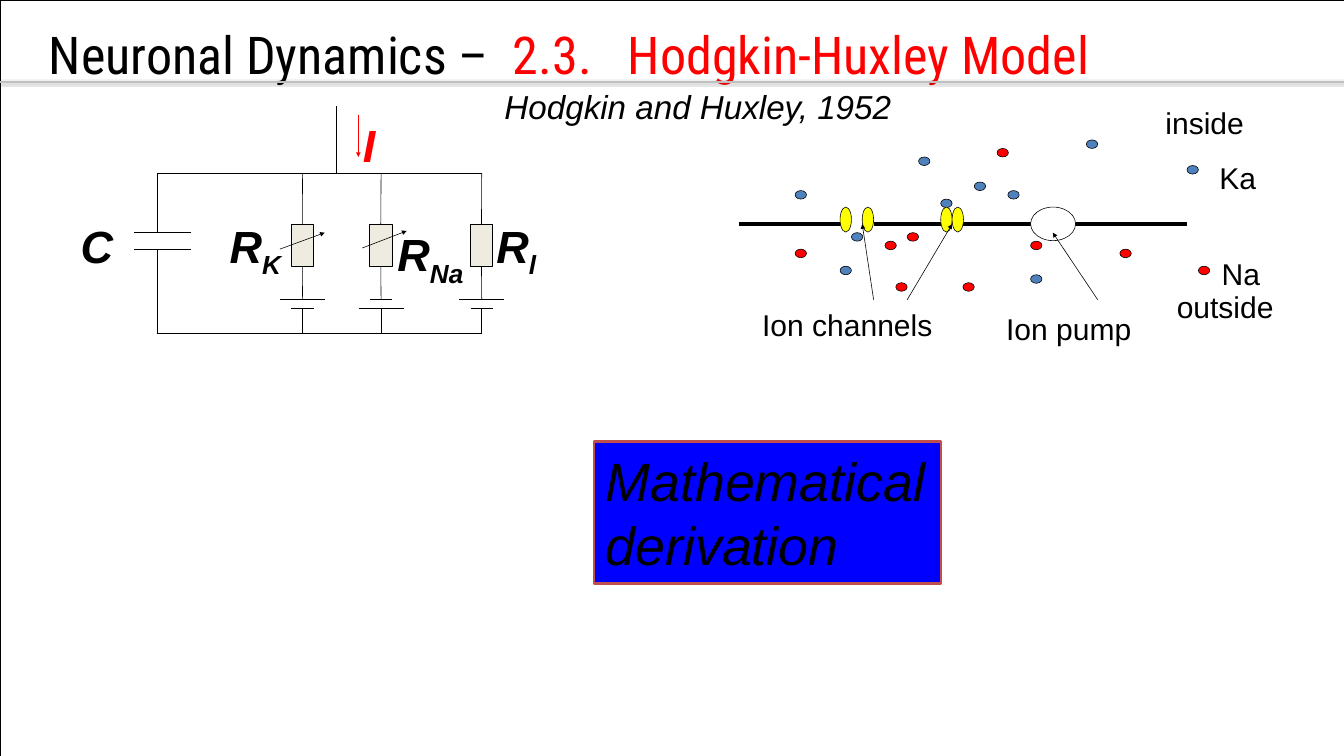
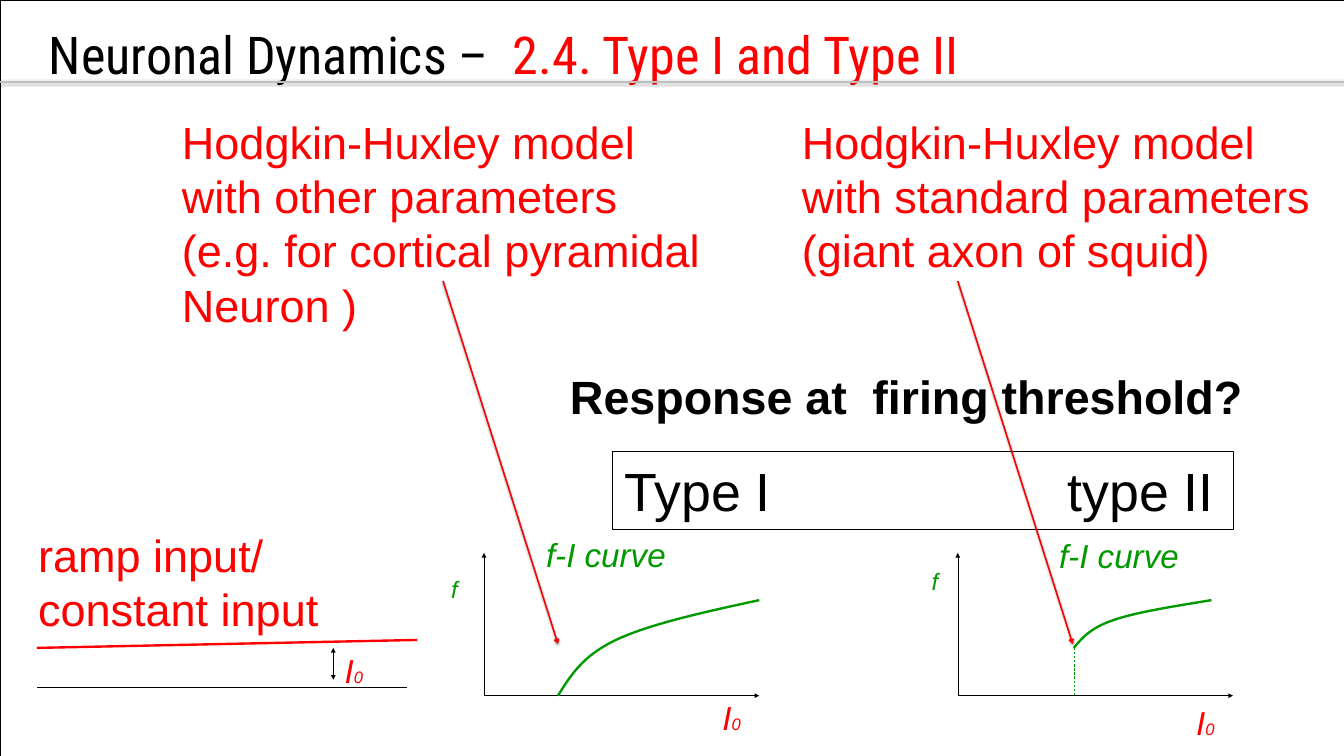
from lxml import etree
from pptx import Presentation
from pptx.dml.color import RGBColor
from pptx.enum.dml import MSO_LINE
from pptx.enum.shapes import MSO_CONNECTOR, MSO_SHAPE
from pptx.enum.text import MSO_AUTO_SIZE
from pptx.oxml.ns import qn
from pptx.util import Inches, Pt

COLORS = {
    "black": "000000", "white": "FFFFFF", "red": "FF0000", "green": "009900",
    "potassium": "4F81BD", "channel": "FFFF00", "resistor": "EEECE1",
    "rule": "BFBFBF", "box": "0000FF", "box_edge": "C0504D",
}
RGB = {name: RGBColor.from_string(value) for name, value in COLORS.items()}
WIDTH, HEIGHT = 23.63, 13.29


def add_line(slide, start, end, color="black", width=0.75, head=None, tail=None, shadow=False):
    """Draw a straight connector; head and tail are arrowheads at start and end."""
    line = slide.shapes.add_connector(
        MSO_CONNECTOR.STRAIGHT, *(Inches(value) for value in (*start, *end)))
    line.line.color.rgb = RGB[color]
    line.line.width = Pt(width)
    ln = line.line._get_or_add_ln()
    for tag, arrow in (("a:headEnd", head), ("a:tailEnd", tail)):
        if arrow:
            etree.SubElement(ln, qn(tag), type=arrow)
    effects = etree.SubElement(line._element.spPr, qn("a:effectLst"))
    if shadow:
        outer = etree.SubElement(effects, qn("a:outerShdw"), blurRad="40000", dist="20000",
                                 dir="5400000", rotWithShape="0")
        black = etree.SubElement(outer, qn("a:srgbClr"), val=COLORS["black"])
        etree.SubElement(black, qn("a:alpha"), val="38000")
    return line


def add_label(slide, at, paragraphs, size, font="Arial", bold=False, italic=False,
              inset=(0.21, 0.11), tabs=(), wrap=False):
    """Write paragraphs, each a list of (text, colour, size or None, baseline) runs."""
    box = slide.shapes.add_textbox(*(Inches(value) for value in at))
    frame = box.text_frame
    frame.word_wrap = wrap
    frame.auto_size = MSO_AUTO_SIZE.NONE if wrap else MSO_AUTO_SIZE.SHAPE_TO_FIT_TEXT
    frame.margin_left = frame.margin_right = Inches(inset[0])
    frame.margin_top = frame.margin_bottom = Inches(inset[1])
    for index, runs in enumerate(paragraphs):
        paragraph = frame.add_paragraph() if index else frame.paragraphs[0]
        if tabs:
            tab_list = etree.SubElement(paragraph._p.get_or_add_pPr(), qn("a:tabLst"))
            for position in tabs:
                etree.SubElement(tab_list, qn("a:tab"), pos=str(Inches(position)), algn="l")
        for text, color, run_size, baseline in runs:
            run = paragraph.add_run()
            run.text = text
            run.font.name = font
            run.font.size = Pt(run_size or size)
            run.font.bold = bold
            run.font.italic = italic
            run.font.color.rgb = RGB[color]
            if baseline:
                run.font._element.set("baseline", str(baseline))
    return box


prs = Presentation()
prs.slide_width, prs.slide_height = Inches(WIDTH), Inches(HEIGHT)

# Shared frame, title and rule
slides = []
for topic in ("2.3.\tHodgkin-Huxley Model", "2.4. Type I and Type II"):
    slide = prs.slides.add_slide(prs.slide_layouts[6])
    border = slide.shapes.add_shape(MSO_SHAPE.RECTANGLE, 0, 0, prs.slide_width, prs.slide_height)
    border.shadow.inherit = False
    border.fill.background()
    border.line.color.rgb = RGB["black"]
    border.line.width = Pt(0.75)
    add_label(slide, (0.76, 0.35, 22.81, 1.61),
              [[("Neuronal Dynamics –\t", "black", None, 0), (topic, "red", None, 0)]],
              66, font="Roboto Condensed", inset=(0.1, 0.05), tabs=(8.16, 10.18), wrap=True)
    add_line(slide, (0, 1.44), (WIDTH, 1.44), "rule", 2, shadow=True)
    slides.append(slide)
model, types = slides

# Membrane with ions, channels and pump
MEMBRANE_Y = 3.94
for left, right in ((13, 14.97), (15.36, 16.54), (16.93, 18.12), (18.9, 20.87)):
    add_line(model, (left, MEMBRANE_Y), (right, MEMBRANE_Y), width=4.5)

potassium_ions = [(14.97, 4.09), (16.15, 2.76), (16.54, 3.5), (13.98, 3.35), (17.13, 3.2),
                  (17.72, 3.35), (14.77, 4.68), (18.12, 4.83), (20.87, 2.91), (19.1, 2.46)]
sodium_ions = [(15.56, 4.24), (13.98, 4.38), (16.93, 4.97), (15.95, 4.09), (18.12, 4.24),
               (17.53, 2.61), (19.69, 4.38), (21.07, 4.68), (15.75, 4.97)]
channel_walls = [(x, 3.64) for x in (14.77, 15.16, 16.54, 16.74)]
for color, width, height, places in (
        ("white", 0.79, 0.59, [(18.12, 3.64)]),
        ("potassium", 0.2, 0.15, potassium_ions),
        ("red", 0.2, 0.15, sodium_ions),
        ("channel", 0.2, 0.44, channel_walls)):
    for x, y in places:
        oval = model.shapes.add_shape(
            MSO_SHAPE.OVAL, Inches(x), Inches(y), Inches(width), Inches(height))
        oval.shadow.inherit = False
        oval.fill.solid()
        oval.fill.fore_color.rgb = RGB[color]
        oval.line.color.rgb = RGB["black"]
        oval.line.width = Pt(0.75)

for text, x, y, width in (
        ("inside", 20.28, 1.73, 1.82), ("outside", 20.48, 4.97, 2.14),
        ("Ka", 21.23, 2.69, 1.08), ("Na", 21.27, 4.38, 1.11),
        ("Ion channels", 13.19, 5.27, 3.45), ("Ion pump", 17.48, 5.34, 2.65)):
    add_label(model, (x, y, width, 0.85), [[(text, "black", None, 0)]], 38)
for start_x, target in ((15.36, (15.16, 3.94)), (15.95, (16.74, 3.94)), (19.3, (18.51, 4.09))):
    add_line(model, (start_x, 5.27), target, tail="triangle")

# Equivalent circuit
TOP_WIRE, BOTTOM_WIRE = 3.05, 5.86
PLATES, CELLS = (4.09, 4.38), (5.27, 5.42)
CAPACITOR_X, LEAK_X = 2.76, 8.47
LONG, SHORT = 0.79, 0.39
for y in (TOP_WIRE, BOTTOM_WIRE):
    add_line(model, (CAPACITOR_X, y), (LEAK_X, y))
for plate_y, wire_y in zip(PLATES, (TOP_WIRE, BOTTOM_WIRE)):
    add_line(model, (2.36, plate_y), (3.35, plate_y))
    add_line(model, (CAPACITOR_X, plate_y), (CAPACITOR_X, wire_y))

for x, cell_widths in ((5.32, (LONG, SHORT)), (6.7, (SHORT, LONG)), (LEAK_X, (LONG, SHORT))):
    resistor = model.shapes.add_shape(
        MSO_SHAPE.RECTANGLE, Inches(x - 0.2), Inches(3.94), Inches(0.39), Inches(0.74))
    resistor.shadow.inherit = False
    resistor.fill.solid()
    resistor.fill.fore_color.rgb = RGB["resistor"]
    resistor.line.color.rgb = RGB["black"]
    resistor.line.width = Pt(0.75)
    add_line(model, (x, 3.94), (x, TOP_WIRE)).begin_connect(resistor, 0)
    add_line(model, (x, 4.68), (x, CELLS[0])).begin_connect(resistor, 2)
    for y, width in zip(CELLS, cell_widths):
        add_line(model, (x - width / 2, y), (x + width / 2, y))
    add_line(model, (x, CELLS[1]), (x, BOTTOM_WIRE))

add_line(model, (4.92, 4.38), (5.71, 4.09), tail="triangle")
add_line(model, (6.37, 4.36), (7.15, 4.06), tail="triangle")
add_line(model, (6.3, 2.02), (6.3, 2.76), "red", tail="triangle")
add_line(model, (5.91, 1.87), (5.91, TOP_WIRE))
for symbol, subscript, x, y, width, color in (
        ("C", "", 1.32, 3.79, 0.78, "black"), ("R", "l", 8.63, 3.79, 0.93, "black"),
        ("R", "K", 3.94, 3.79, 1.17, "black"), ("R", "Na", 6.89, 3.94, 1.46, "black"),
        ("I", "", 6.28, 2.02, 0.42, "red")):
    runs = [(symbol, color, None, 0)]
    if subscript:
        runs.append((subscript, color, None, -25000))
    add_label(model, (x, y, width, 1.06), [runs], 57, bold=True, italic=True, inset=(0.1, 0.05))

derivation = add_label(
    model, (10.44, 7.76, 6.1, 2.5),
    [[(text, "black", None, 0)] for text in ("Mathematical", "derivation")], 68, italic=True)
derivation.fill.solid()
derivation.fill.fore_color.rgb = RGB["box"]
derivation.line.color.rgb = RGB["box_edge"]
derivation.line.width = Pt(3)
add_label(model, (8.66, 1.4, 7.29, 0.92),
          [[("Hodgkin and Huxley, 1952", "black", None, 0)]], 42, italic=True)

# Question and the two answers
add_label(types, (9.81, 6.35, 12.38, 1.21),
          [[("Response at\tfiring threshold?", "black", None, 0)]],
          59, bold=True, tabs=(5.32,), wrap=True)
answers = add_label(types, (10.77, 7.94, 10.92, 1.36),
                    [[("Type I\ttype II", "black", None, 0)]], 68, tabs=(7.79,), wrap=True)
answers.line.color.rgb = RGB["black"]
answers.line.width = Pt(0.75)

# Input current
current = [[("I", "red", None, 0), ("0", "red", 21, 0)]]
add_label(types, (0.46, 9.16, 5.41, 2.13),
          [[(text, "red", None, 0)] for text in ("ramp input/", "constant input")], 57)
add_line(types, (0.65, 12.09), (7.16, 12.09))
add_line(types, (0.65, 11.39), (7.34, 11.25), "red", 3)
add_line(types, (5.86, 11.39), (5.86, 11.95), head="triangle", tail="triangle")
add_label(types, (5.85, 11.32, 0.75, 0.92), current, 42, italic=True)

# f-I curves, each given by Bezier spans of four points
AXIS_Y = 12.23
type_one = [((9.81, 12.23), (10.03, 11.88), (10.24, 11.53), (10.83, 11.25)),
            ((10.83, 11.25), (11.42, 10.97), (12.38, 10.76), (13.35, 10.55))]
type_two = [((18.88, 11.39), (19.03, 11.21), (19.17, 11.04), (19.58, 10.9)),
            ((19.58, 10.9), (19.98, 10.76), (20.64, 10.66), (21.3, 10.55))]
STEPS = 16
for axis_x, current_y, f_at, name_at, spans, arrow_x, note_at, note in (
        (8.51, 12.15, (7.72, 10), (9.39, 9.29), type_one, (7.79, 9.81), (3.1, 1.97, 9.41, 3.94),
         ("Hodgkin-Huxley model", "with other parameters",
          "(e.g. for cortical pyramidal", "Neuron )")),
        (16.84, 12.23, (16.17, 9.86), (18.41, 9.3), type_two, (16.84, 18.86),
         (14, 1.97, 9.23, 2.98),
         ("Hodgkin-Huxley model", "with standard parameters", "(giant axon of squid)"))):
    add_line(types, (axis_x, AXIS_Y), (axis_x, 9.72), tail="triangle")
    add_line(types, (axis_x, AXIS_Y), (axis_x + 4.84, AXIS_Y), tail="triangle")
    add_label(types, (axis_x + 3.98, current_y, 0.75, 0.92), current, 42, italic=True)
    add_label(types, (*f_at, 0.54, 0.72), [[("f", "green", None, 0)]], 30, italic=True)
    add_label(types, (*name_at, 2.55, 0.92), [[("f-I curve", "green", None, 0)]], 42, italic=True)

    points = []
    for span in spans:
        for step in range(1, STEPS + 1):
            t = step / STEPS
            weights = ((1 - t) ** 3, 3 * t * (1 - t) ** 2, 3 * t ** 2 * (1 - t), t ** 3)
            points.append([Inches(sum(w * p[axis] for w, p in zip(weights, span)))
                           for axis in (0, 1)])
    start_x, start_y = spans[0][0]
    builder = types.shapes.build_freeform(Inches(start_x), Inches(start_y))
    builder.add_line_segments(points, close=False)
    curve = builder.convert_to_shape()
    curve.shadow.inherit = False
    curve.fill.background()
    curve.line.color.rgb = RGB["green"]
    curve.line.width = Pt(3)

    add_line(types, (arrow_x[0], 4.94), (arrow_x[1], 11.32), "red", 2, tail="arrow", shadow=True)
    add_label(types, note_at, [[(text, "red", None, 0)] for text in note], 57, inset=(0.1, 0.05))

threshold = add_line(types, (18.89, 11.39), (18.89, AXIS_Y), "green")
threshold.line.dash_style = MSO_LINE.DASH

prs.save("out.pptx")
